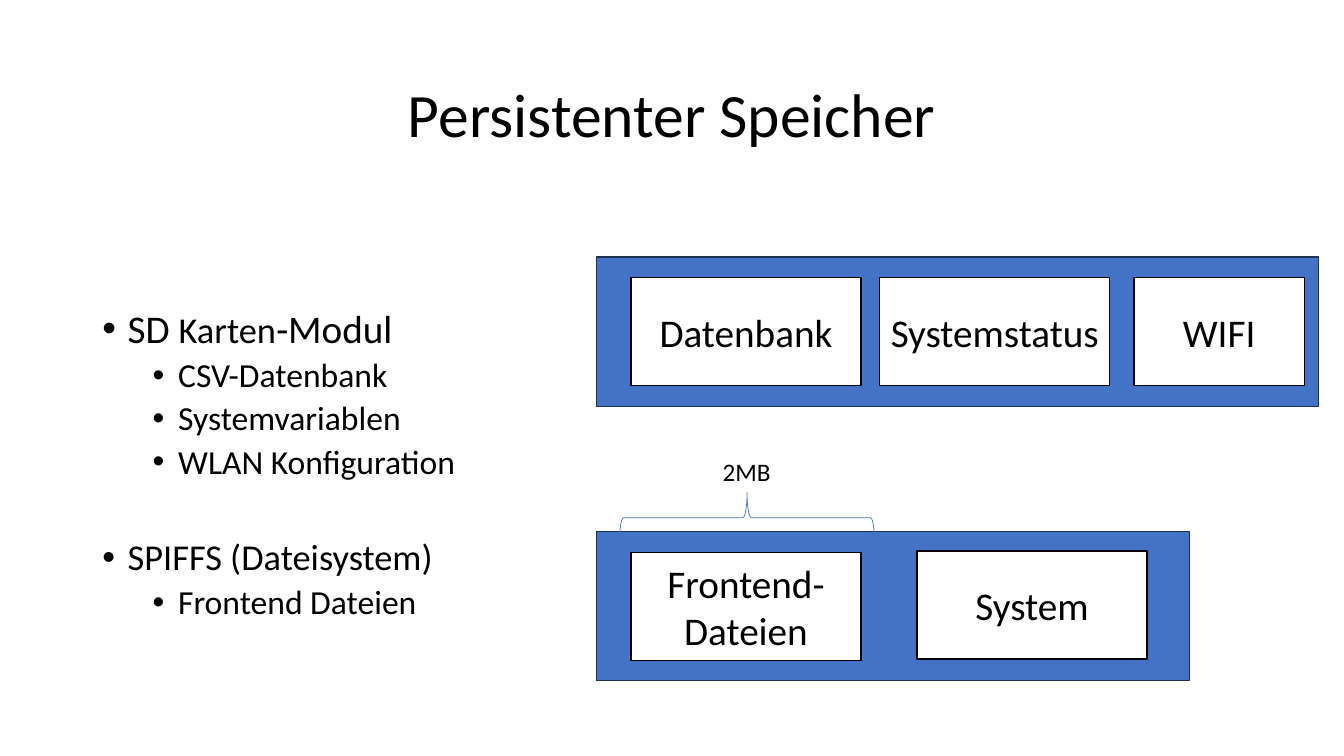
from lxml.etree import SubElement
from pptx import Presentation
from pptx.dml.color import RGBColor
from pptx.enum.shapes import MSO_SHAPE
from pptx.enum.text import MSO_ANCHOR, PP_ALIGN
from pptx.oxml.ns import qn
from pptx.util import Cm, Pt

COLORS = {"text": "000000", "box": "FFFFFF", "bar": "4472C4", "edge": "1E3256"}
FONT = "Calibri"

# level, space before, runs of (text, size)
POINTS = [
    (0, 0, [("SD ", 28), ("Karten", 26), ("-Modul", 28)]),
    (1, 5, [("CSV-Datenbank", 24)]),
    (1, 5, [("Systemvariablen", 24)]),
    (1, 5, [("WLAN Konfiguration", 24)]),
    (0, 41.4, [("SPIFFS (Dateisystem)", 26)]),
    (1, 5, [("Frontend Dateien", 24)]),
]

# top and width of each memory bar, then its boxes: text, left, top, width
BARS = [
    (13.39, 14.94, [("Frontend-Dateien", 15.9, 13.92, 5.8),
                    ("System", 23.11, 13.89, 5.8)]),
    (6.48, 18.19, [("Datenbank", 15.9, 6.99, 5.8),
                   ("Systemstatus", 22.17, 6.99, 5.8),
                   ("WIFI", 28.58, 6.99, 4.29)]),
]


def color(name):
    return RGBColor.from_string(COLORS[name])


class Board:
    """Holds the text style and the slide being drawn."""

    def __init__(self, slide, font):
        self.slide = slide
        self.font = font

    def fill_in(self, para, runs):
        """Add runs of (text, size) to a paragraph."""
        for text, size in runs:
            run = para.add_run()
            run.text = text
            run.font.name = self.font
            run.font.size = Pt(size)
            run.font.color.rgb = color("text")

    def frame(self, x, y, w, h):
        """Add a wrapping text box and return its text frame."""
        box = self.slide.shapes.add_textbox(Cm(x), Cm(y), Cm(w), Cm(h))
        box.text_frame.word_wrap = True
        return box.text_frame

    def label(self, text, size, x, y, w, h, align=PP_ALIGN.LEFT,
              anchor=MSO_ANCHOR.TOP):
        frame = self.frame(x, y, w, h)
        frame.vertical_anchor = anchor
        para = frame.paragraphs[0]
        para.alignment = align
        self.fill_in(para, [(text, size)])

    def bullets(self, points, x, y, w, h):
        frame = self.frame(x, y, w, h)
        for i, (level, space, runs) in enumerate(points):
            para = frame.add_paragraph() if i else frame.paragraphs[0]
            para.level = level
            para.line_spacing = 0.9
            para.space_before = Pt(space)
            props = para._p.get_or_add_pPr()
            props.set("marL", str(Cm(0.64 + 1.27 * level)))
            props.set("indent", str(Cm(-0.64)))
            SubElement(props, qn("a:buFont")).set("typeface", "Arial")
            SubElement(props, qn("a:buChar")).set("char", "•")
            self.fill_in(para, runs)

    def shape(self, kind, x, y, w, h, fill, line, width=1):
        item = self.slide.shapes.add_shape(kind, Cm(x), Cm(y), Cm(w), Cm(h))
        item.shadow.inherit = False
        if fill:
            item.fill.solid()
            item.fill.fore_color.rgb = color(fill)
        else:
            item.fill.background()
        item.line.color.rgb = color(line)
        item.line.width = Pt(width)
        return item

    def box(self, text, x, y, w):
        item = self.shape(MSO_SHAPE.RECTANGLE, x, y, w, 2.72, "box", "text")
        frame = item.text_frame
        frame.word_wrap = True
        frame.vertical_anchor = MSO_ANCHOR.MIDDLE
        para = frame.paragraphs[0]
        para.alignment = PP_ALIGN.CENTER
        self.fill_in(para, [(text, 28)])

    def bar(self, top, width, boxes):
        """Draw a memory bar with the boxes inside it."""
        self.shape(MSO_SHAPE.RECTANGLE, 15.04, top, width, 3.76, "bar", "edge")
        for args in boxes:
            self.box(*args)

    def brace(self, x, y, w, h):
        """Draw a left brace turned to point upwards."""
        item = self.shape(MSO_SHAPE.LEFT_BRACE, x, y, w, h, None, "bar", 0.5)
        item.rotation = 90


def main():
    deck = Presentation()
    deck.slide_width, deck.slide_height = Cm(33.87), Cm(19.05)
    board = Board(deck.slides.add_slide(deck.slide_layouts[6]), FONT)
    board.label("Persistenter Speicher", 44, 2.33, 1.01, 29.21, 3.68,
                PP_ALIGN.CENTER, MSO_ANCHOR.MIDDLE)
    board.bullets(POINTS, 2.33, 7.67, 12.5, 9.5)
    for args in BARS:
        board.bar(*args)
    board.brace(18.19, 9.83, 1.27, 6.43)
    board.label("2MB", 18, 17.96, 11.38, 2.87, 1.02)
    deck.save("out.pptx")


if __name__ == "__main__":
    main()
